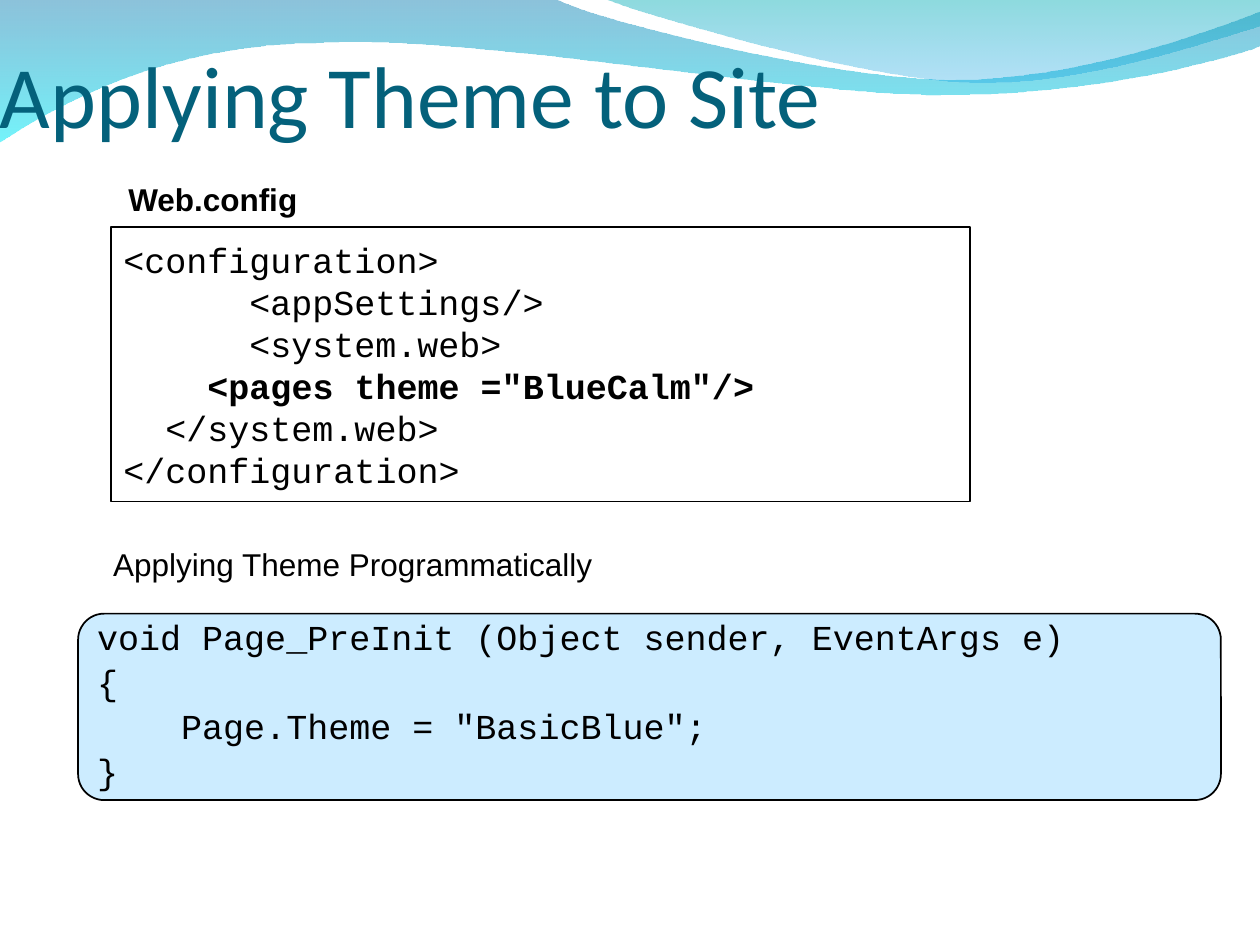
from lxml import etree
from pptx import Presentation
from pptx.dml.color import RGBColor
from pptx.enum.shapes import MSO_SHAPE
from pptx.enum.text import MSO_ANCHOR, PP_ALIGN
from pptx.oxml.ns import qn
from pptx.util import Inches, Pt

RECTANGLE, ROUNDED = MSO_SHAPE.RECTANGLE, MSO_SHAPE.ROUNDED_RECTANGLE
TOP, MIDDLE, BOTTOM = MSO_ANCHOR.TOP, MSO_ANCHOR.MIDDLE, MSO_ANCHOR.BOTTOM
LEFT = PP_ALIGN.LEFT

BLACK = RGBColor(0x00, 0x00, 0x00)
WHITE = RGBColor(0xFF, 0xFF, 0xFF)
TITLE_TEAL = RGBColor(0x04, 0x61, 0x7B)
PALE_BLUE = RGBColor(0xCC, 0xEC, 0xFF)
DEEP_BLUE = RGBColor(0x00, 0x79, 0xAF)
CYAN = RGBColor(0x00, 0xEB, 0xF8)
TEAL = RGBColor(0x00, 0xAD, 0xB6)
SKY = RGBColor(0x00, 0x9B, 0xE5)

# Each wave step is a line (one point) or a cubic curve (two controls and an end)
LONG_WAVE = [
    [(4.4, -0.01)],
    [(4.76, 0.17), (6.64, 0.63), (7.58, 0.63)],
    [(8.53, 0.63), (9.58, 0.26), (10, 0.09)],
    [(10.01, 0.36)],
    [(9.83, 0.44), (8.7, 0.76), (7.46, 0.75)],
    [(6.22, 0.75), (3.82, 0.28), (2.57, 0.34)],
    [(1.29, 0.35), (0.46, 0.83), (-0.01, 1.13)],
]
RIGHT_WAVE = [
    [(5.09, 0.11), (6.82, 0.62), (7.69, 0.65)],
    [(8.56, 0.69), (9.61, 0.32), (10, 0.21)],
    [(10, 0)],
]

CONFIG_LINES = [
    [("<configuration>", False)],
    [("\t<appSettings/>", False)],
    [("\t<system.web>", False)],
    [("    ", False), ('<pages theme ="BlueCalm"/>', True)],
    [("  </system.web>", False)],
    [("</configuration>", False)],
]
HANDLER_LINES = [
    [("void Page_PreInit (Object sender, EventArgs e)", False)],
    [("{", False)],
    [('    Page.Theme = "BasicBlue";', False)],
    [("}", False)],
]


def bend_segments(wave, steps):
    """Turn each run of three line segments that stands for a curve into one."""
    segments = iter(list(wave.element.spPr.iter(qn("a:lnTo"))))
    for step in steps:
        group = [next(segments) for point in step]
        if len(group) == 3:
            curve = etree.Element(qn("a:cubicBezTo"))
            group[0].addprevious(curve)
            for segment in group:
                curve.append(segment[0])
                segment.getparent().remove(segment)


def add_wave(page, start, steps, stops):
    """A wave outline with a see-through gradient running downwards."""
    points = [start] + [point for step in steps for point in step]
    outline = [(Inches(x), Inches(y)) for x, y in points]
    builder = page.shapes.build_freeform(*outline[0])
    builder.add_line_segments(outline[1:], close=True)
    wave = builder.convert_to_shape()
    bend_segments(wave, steps)
    wave.shadow.inherit = False
    wave.line.fill.background()
    wave.fill.gradient()
    wave.fill.gradient_angle = 270
    for stop, (color, opacity) in zip(wave.fill.gradient_stops, stops):
        stop.color.rgb = color
    for tint, (color, opacity) in zip(wave.element.spPr.iter(qn("a:srgbClr")), stops):
        etree.SubElement(tint, qn("a:alpha"), val=str(opacity * 1000))


def write_lines(frame, lines, font, size, color, anchor=TOP, insets=(0.1, 0.05, 0.1, 0.05),
                wrap=True, spacing=None, before=0):
    frame.word_wrap = wrap
    frame.vertical_anchor = anchor
    (frame.margin_left, frame.margin_top,
     frame.margin_right, frame.margin_bottom) = map(Inches, insets)
    for index, line in enumerate(lines):
        para = frame.add_paragraph() if index else frame.paragraphs[0]
        para.alignment = LEFT
        if spacing:
            para.line_spacing = spacing
        if index and before:
            para.space_before = Pt(before)
        if line[0][0].startswith("\t"):
            tabs = etree.SubElement(para._p.get_or_add_pPr(), qn("a:tabLst"))
            etree.SubElement(tabs, qn("a:tab"), pos=str(Inches(1)), algn="l")
        for text, bold in line:
            span = para.add_run()
            span.text = text
            span.font.name = font
            span.font.size = Pt(size)
            span.font.bold = bold
            span.font.color.rgb = color


def add_label(page, box, text, font="Arial", size=18, color=BLACK, bold=False, **layout):
    label = page.shapes.add_textbox(*map(Inches, box))
    write_lines(label.text_frame, [[(text, bold)]], font, size, color, **layout)


def add_code_panel(page, box, kind, fill, lines, **layout):
    panel = page.shapes.add_shape(kind, *map(Inches, box))
    panel.shadow.inherit = False
    panel.fill.solid()
    panel.fill.fore_color.rgb = fill
    panel.line.color.rgb = BLACK
    panel.line.width = Pt(1)
    if kind == ROUNDED:
        panel.adjustments[0] = 0.14
    write_lines(panel.text_frame, lines, "Courier New", 20, BLACK, anchor=MIDDLE, **layout)


def build_slide(page):
    # Wave banner
    add_wave(page, (0, -0.01), LONG_WAVE, [(DEEP_BLUE, 45), (CYAN, 55)])
    add_wave(page, (4.79, -0.01), RIGHT_WAVE, [(TEAL, 45), (SKY, 30)])

    # Title
    add_label(page, (0, 0.08, 9, 1.08), "Applying Theme to Site", "Calibri", 50,
              TITLE_TEAL, anchor=BOTTOM, insets=(0, 0.05, 0, 0))

    # Event handler code
    add_code_panel(page, (0.62, 4.87, 9.07, 1.48), ROUNDED, PALE_BLUE, HANDLER_LINES,
                   insets=(0.09, 0.05, 0, 0.05), spacing=0.85, before=5)
    add_label(page, (0.8, 4.28, 4, 0.4), "Applying Theme Programmatically", wrap=False)

    # Configuration code
    add_code_panel(page, (0.88, 1.8, 6.82, 2.18), RECTANGLE, WHITE, CONFIG_LINES)
    add_label(page, (0.92, 1.38, 2.33, 0.4), "Web.config", bold=True)


def main():
    deck = Presentation()
    deck.slide_width, deck.slide_height = Inches(10), Inches(7.5)
    build_slide(deck.slides.add_slide(deck.slide_layouts[6]))
    deck.save("out.pptx")


if __name__ == "__main__":
    main()
